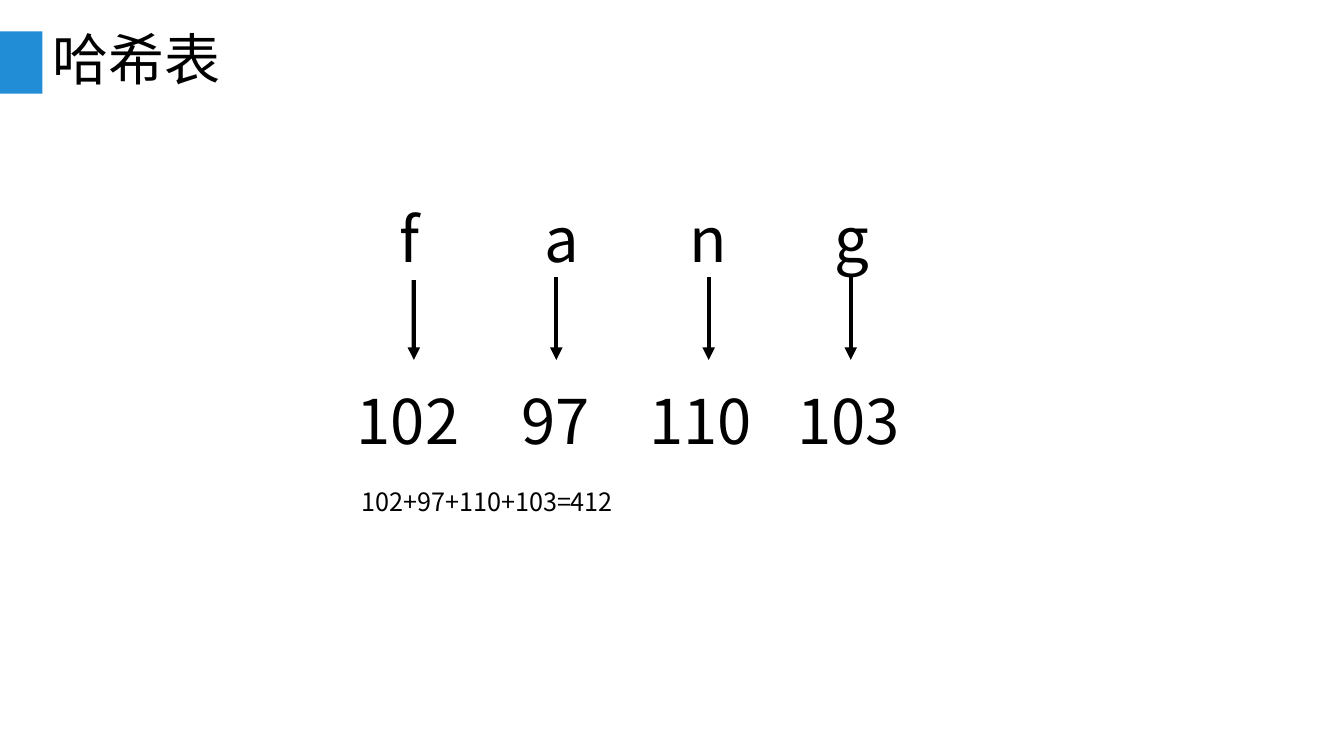
from dataclasses import dataclass

from lxml.etree import SubElement
from pptx import Presentation
from pptx.dml.color import RGBColor
from pptx.enum.shapes import MSO_CONNECTOR, MSO_SHAPE
from pptx.enum.text import MSO_ANCHOR, PP_ALIGN
from pptx.oxml.ns import qn
from pptx.shapes.autoshape import Shape
from pptx.slide import Slide
from pptx.util import Cm, Pt

FONT = "Noto Sans CJK SC"
BLACK = "000000"
BLUE = "218DD6"

LETTER_LEFT, LETTER_TOP, LETTER_PITCH = 9.83, 4.93, 3.65
LETTER_WIDTH, CHARACTER_HEIGHT = 1.19, 2.13
CODE_TOP, CODE_WIDTH = 9.53, 3.73
ARROW_TOP, ARROW_BOTTOM = 6.99, 9.07


@dataclass(frozen=True)
class Mapping:
    """One letter and its character code; lengths in centimetres."""
    letter: str
    code: str
    arrow_x: float
    code_left: float
    code_align: PP_ALIGN = PP_ALIGN.CENTER
    arrow_joined: bool = False


MAPPINGS = [
    Mapping("f", "102", 10.43, 8.74, PP_ALIGN.LEFT, arrow_joined=True),
    Mapping("a", "97", 14.02, 12.14),
    Mapping("n", "110", 17.86, 15.8),
    Mapping("g", "103", 21.44, 19.53),
]


def color(value: str) -> RGBColor:
    return RGBColor.from_string(value)


def add_text(slide: Slide, text: str, left: float, top: float, width: float,
             height: float, size: int, align: PP_ALIGN = PP_ALIGN.LEFT) -> Shape:
    box = slide.shapes.add_textbox(Cm(left), Cm(top), Cm(width), Cm(height))
    box.text_frame.word_wrap = True
    paragraph = box.text_frame.paragraphs[0]
    paragraph.alignment = align
    run = paragraph.add_run()
    run.text = text
    run.font.size = Pt(size)
    run.font.name = FONT
    run.font.color.rgb = color(BLACK)
    SubElement(run.font._element, qn("a:ea"), typeface=FONT)
    return box


def add_heading(slide: Slide, text: str) -> None:
    marker = slide.shapes.add_shape(MSO_SHAPE.RECTANGLE, 0, Cm(0.79), Cm(1.07), Cm(1.57))
    marker.shadow.inherit = False
    marker.fill.solid()
    marker.fill.fore_color.rgb = color(BLUE)
    marker.line.fill.background()
    heading = add_text(slide, text, 1.07, 0.76, 31.75, 1.63, 40)
    heading.text_frame.vertical_anchor = MSO_ANCHOR.MIDDLE
    heading.text_frame.paragraphs[0].line_spacing = 0.9


def add_mapping(slide: Slide, mapping: Mapping, letter_left: float) -> None:
    """Draw a letter, its code below, and the arrow between them."""
    letter = add_text(slide, mapping.letter, letter_left, LETTER_TOP,
                      LETTER_WIDTH, CHARACTER_HEIGHT, 44)
    add_text(slide, mapping.code, mapping.code_left, CODE_TOP,
             CODE_WIDTH, CHARACTER_HEIGHT, 44, mapping.code_align)
    arrow = slide.shapes.add_connector(
        MSO_CONNECTOR.STRAIGHT, Cm(mapping.arrow_x), Cm(ARROW_TOP),
        Cm(mapping.arrow_x), Cm(ARROW_BOTTOM))
    if mapping.arrow_joined:
        arrow.begin_connect(letter, 2)
    arrow.line.color.rgb = color(BLACK)
    arrow.line.width = Pt(3)
    SubElement(arrow.line._get_or_add_ln(), qn("a:tailEnd"), type="triangle")
    SubElement(arrow._element.spPr, qn("a:effectLst"))


def main() -> None:
    presentation = Presentation()
    presentation.slide_width = Cm(33.87)
    presentation.slide_height = Cm(19.05)
    slide = presentation.slides.add_slide(presentation.slide_layouts[6])
    add_heading(slide, "哈希表")
    for index, mapping in enumerate(MAPPINGS):
        add_mapping(slide, mapping, LETTER_LEFT + index * LETTER_PITCH)
    code_sum = "102+97+110+103=412"
    add_text(slide, code_sum, 8.86, 12.14, 7.24, 1.02, 18)
    presentation.save("out.pptx")


if __name__ == "__main__":
    main()
